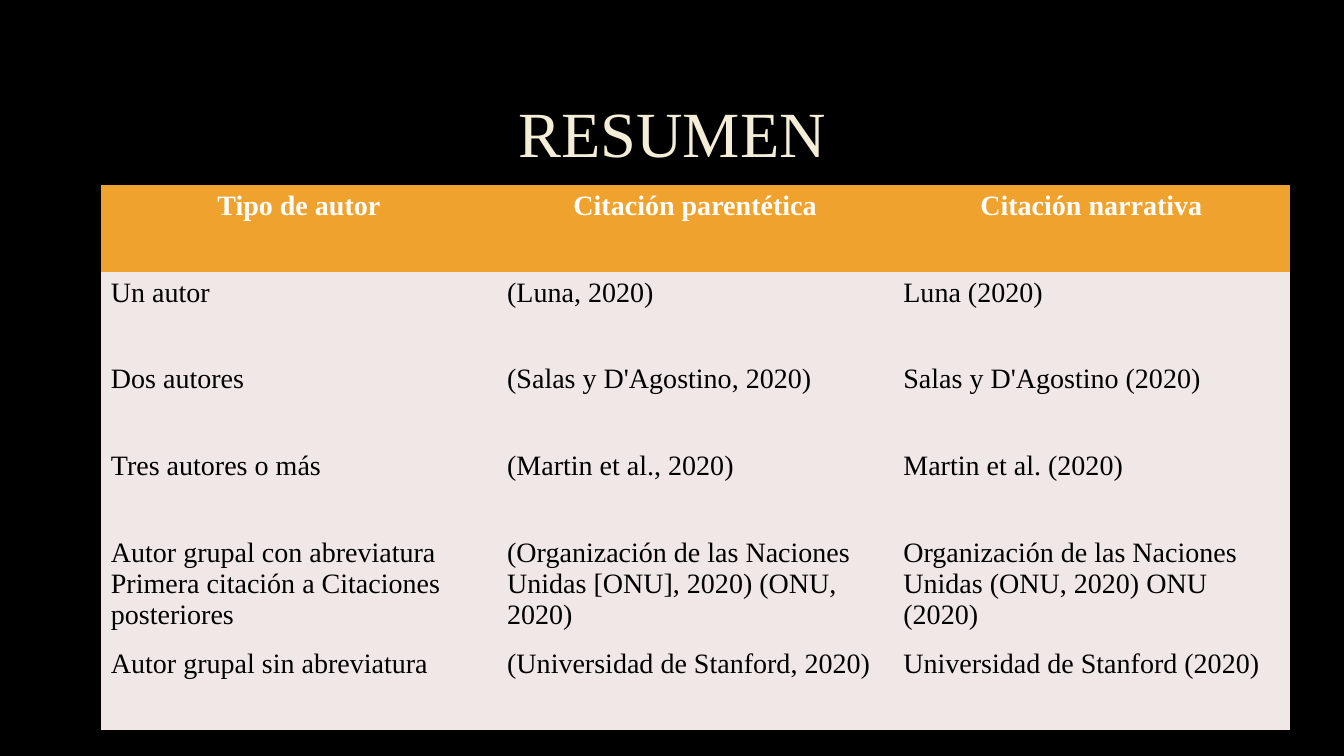
from dataclasses import dataclass

from pptx import Presentation
from pptx.dml.color import RGBColor
from pptx.enum.text import MSO_ANCHOR, PP_ALIGN
from pptx.oxml.ns import qn
from pptx.slide import Slide
from pptx.text.text import TextFrame
from pptx.util import Inches, Pt

CENTER, LEFT = PP_ALIGN.CENTER, PP_ALIGN.LEFT
MIDDLE = MSO_ANCHOR.MIDDLE

BLACK = RGBColor(0x00, 0x00, 0x00)
WHITE = RGBColor(0xFF, 0xFF, 0xFF)
CREAM = RGBColor(0xF4, 0xED, 0xD8)
ORANGE = RGBColor(0xF0, 0xA2, 0x2E)
PALE_ROSE = RGBColor(0xF0, 0xE8, 0xE6)

FONT = "Times New Roman"
PLAIN_TABLE_STYLE = "{2D5ABB26-0587-4C30-8999-92F81FD0307C}"

SLIDE_WIDTH, SLIDE_HEIGHT = Inches(13.33), Inches(7.5)
MARGIN = Inches(1)
COLUMN_WIDTH = Inches(3.93)
ROW_HEIGHT = Inches(0.86)
TALL_ROW_HEIGHT = Inches(0.95)


@dataclass(frozen=True)
class TextStyle:
    size: int
    color: RGBColor
    align: PP_ALIGN
    bold: bool = False


@dataclass(frozen=True)
class CitationRow:
    author_type: str
    parenthetical: str
    narrative: str
    height: int = ROW_HEIGHT

    def texts(self) -> tuple[str, str, str]:
        return self.author_type, self.parenthetical, self.narrative


TITLE_STYLE = TextStyle(46, CREAM, CENTER)
HEADING_STYLE = TextStyle(20, WHITE, CENTER, bold=True)
BODY_STYLE = TextStyle(20, BLACK, LEFT)

CITATIONS = [
    CitationRow("Tipo de autor", "Citación parentética", "Citación narrativa"),
    CitationRow("Un autor", "(Luna, 2020)", "Luna (2020)"),
    CitationRow("Dos autores", "(Salas y D'Agostino, 2020)", "Salas y D'Agostino (2020)"),
    CitationRow("Tres autores o más", "(Martin et al., 2020)", "Martin et al. (2020)"),
    CitationRow(
        "Autor grupal con abreviatura Primera citación a Citaciones posteriores",
        "(Organización de las Naciones Unidas [ONU], 2020) (ONU, 2020)",
        "Organización de las Naciones Unidas (ONU, 2020) ONU (2020)",
        TALL_ROW_HEIGHT,
    ),
    CitationRow(
        "Autor grupal sin abreviatura",
        "(Universidad de Stanford, 2020)",
        "Universidad de Stanford (2020)",
    ),
]


def write(frame: TextFrame, text: str, style: TextStyle) -> None:
    frame.text = text
    paragraph = frame.paragraphs[0]
    paragraph.alignment = style.align
    font = paragraph.runs[0].font
    font.name = FONT
    font.size = Pt(style.size)
    font.bold = style.bold
    font.color.rgb = style.color


def add_title(slide: Slide, text: str) -> None:
    title = slide.shapes.add_textbox(
        MARGIN, Inches(0.67), SLIDE_WIDTH - 2 * MARGIN, Inches(1.38)
    )
    frame = title.text_frame
    frame.word_wrap = True
    frame.vertical_anchor = MIDDLE
    write(frame, text, TITLE_STYLE)
    frame.paragraphs[0].line_spacing = 0.9


def add_citation_table(slide: Slide, citations: list[CitationRow]) -> None:
    column_count = len(citations[0].texts())
    table = slide.shapes.add_table(
        len(citations), column_count, MARGIN, Inches(1.84),
        column_count * COLUMN_WIDTH, sum(row.height for row in citations),
    ).table
    table._tbl.tblPr.find(qn("a:tableStyleId")).text = PLAIN_TABLE_STYLE
    table.horz_banding = False
    for column in table.columns:
        column.width = COLUMN_WIDTH
    for row_index, citation in enumerate(citations):
        table.rows[row_index].height = citation.height
        is_heading = row_index == 0
        for column_index, text in enumerate(citation.texts()):
            cell = table.cell(row_index, column_index)
            cell.fill.solid()
            cell.fill.fore_color.rgb = ORANGE if is_heading else PALE_ROSE
            write(cell.text_frame, text, HEADING_STYLE if is_heading else BODY_STYLE)


def main() -> None:
    presentation = Presentation()
    presentation.slide_width = SLIDE_WIDTH
    presentation.slide_height = SLIDE_HEIGHT
    slide = presentation.slides.add_slide(presentation.slide_layouts[6])
    slide.background.fill.solid()
    slide.background.fill.fore_color.rgb = BLACK
    add_title(slide, "RESUMEN")
    add_citation_table(slide, CITATIONS)
    presentation.save("out.pptx")


if __name__ == "__main__":
    main()
